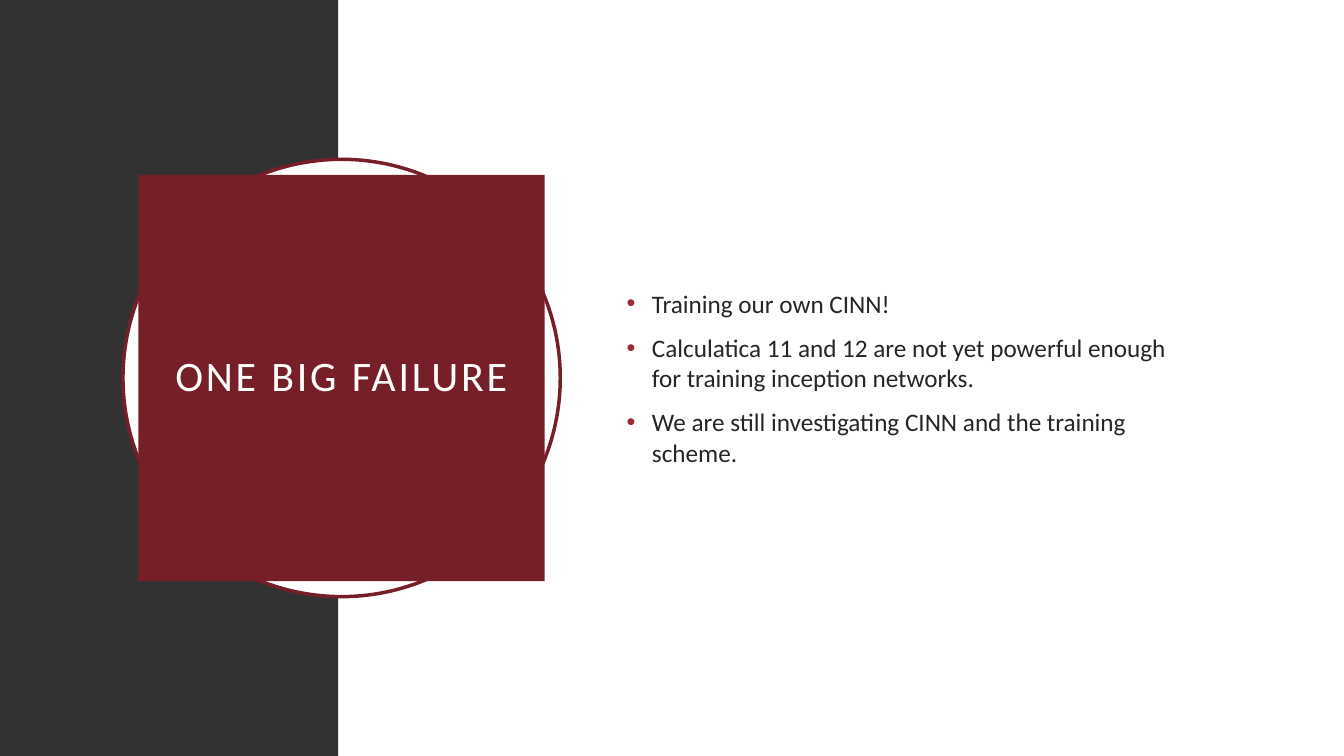
from pptx import Presentation
from pptx.dml.color import RGBColor
from pptx.enum.shapes import MSO_SHAPE
from pptx.enum.text import MSO_ANCHOR, PP_ALIGN
from pptx.oxml.ns import qn
from pptx.util import Cm, Pt
from lxml import etree

RECT, OVAL = MSO_SHAPE.RECTANGLE, MSO_SHAPE.OVAL
MIDDLE = MSO_ANCHOR.MIDDLE
LEFT, CENTER = PP_ALIGN.LEFT, PP_ALIGN.CENTER

WHITE = RGBColor(0xFF, 0xFF, 0xFF)
DARK = RGBColor(0x32, 0x32, 0x32)
INK = RGBColor(0x26, 0x26, 0x26)
WINE = RGBColor(0x77, 0x1F, 0x28)
RED = RGBColor(0x9F, 0x29, 0x36)

WIDE, HIGH = 33.87, 19.05
SIDE = 8.53
MID = 8.61  # centre of the ring and the title block
POINTS = (
    "Training our own CINN!",
    "Calculatica 11 and 12 are not yet powerful enough for training inception networks.",
    "We are still investigating CINN and the training scheme.",
)


def add_bullet(para, color, indent):
    props = para._p.get_or_add_pPr()
    props.set("marL", str(Cm(indent)))
    props.set("indent", str(-Cm(indent)))
    tint = etree.SubElement(props, qn("a:buClr"))
    etree.SubElement(tint, qn("a:srgbClr"), val=str(color))
    etree.SubElement(props, qn("a:buFont"), typeface="Arial")
    etree.SubElement(props, qn("a:buChar"), char="•")


def write(frame, lines, size=18, color=INK, align=LEFT, inset=0.25,
          leading=1.0, gap=0, track=0, bullet=None):
    frame.word_wrap = True
    frame.vertical_anchor = MIDDLE
    frame.margin_left = frame.margin_right = Cm(inset)
    frame.margin_top = frame.margin_bottom = Cm(inset / 2 if bullet else inset)
    for i, line in enumerate(lines):
        para = frame.add_paragraph() if i else frame.paragraphs[0]
        para.alignment = align
        para.line_spacing = leading
        if i:
            para.space_before = Pt(gap)
        if bullet:
            add_bullet(para, bullet, 0.64)
        run = para.add_run()
        run.text = line
        run.font.name = Deck.font
        run.font.size = Pt(size)
        run.font.color.rgb = color
        if track:
            run.font._element.set("spc", str(track * 100))


class Deck:
    font = "Calibri"

    def __init__(self):
        self.show = Presentation()
        self.show.slide_width, self.show.slide_height = Cm(WIDE), Cm(HIGH)
        self.slide = self.show.slides.add_slide(self.show.slide_layouts[6])

    def shape(self, kind, x, y, w, h, fill, line=None):
        item = self.slide.shapes.add_shape(kind, Cm(x), Cm(y), Cm(w), Cm(h))
        item.shadow.inherit = False
        item.fill.solid()
        item.fill.fore_color.rgb = fill
        if line:
            item.line.color.rgb = line
            item.line.width = Pt(2.5)
        else:
            item.line.fill.background()
        return item

    def center(self, kind, size, fill, line=None):
        return self.shape(kind, MID - size / 2, (HIGH - size) / 2, size, size, fill, line)

    def text(self, x, y, w, h, lines, **style):
        box = self.slide.shapes.add_textbox(Cm(x), Cm(y), Cm(w), Cm(h))
        write(box.text_frame, lines, **style)


def main():
    deck = Deck()

    # Background panels
    deck.shape(RECT, 0, 0, SIDE, HIGH, DARK)
    deck.shape(RECT, SIDE, 0, WIDE - SIDE, HIGH, WHITE)

    # Ring and title block
    deck.center(OVAL, 11.02, WHITE, WINE)
    title = deck.center(RECT, 10.24, WINE)
    write(title.text_frame, ["ONE BIG FAILURE"], size=30, color=WHITE,
          align=CENTER, inset=0.5, leading=0.9, track=2)

    # Bullet points
    deck.text(15.54, 3.89, 14.78, 11.25, POINTS, gap=10, bullet=RED)

    deck.show.save("out.pptx")


if __name__ == "__main__":
    main()
